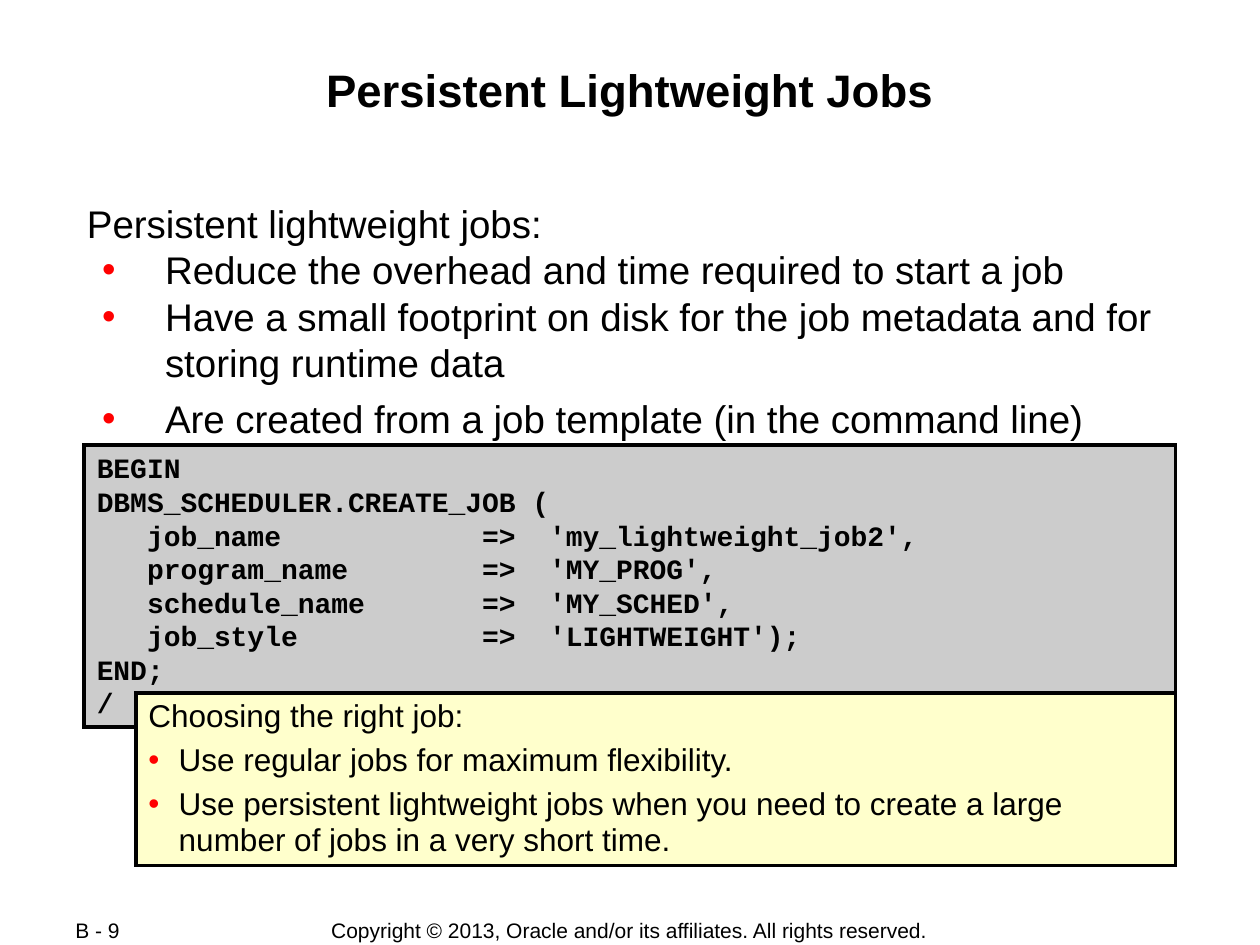
from lxml.etree import SubElement
from pptx import Presentation
from pptx.dml.color import RGBColor
from pptx.enum.shapes import MSO_SHAPE
from pptx.enum.text import MSO_ANCHOR, PP_ALIGN
from pptx.oxml.ns import qn
from pptx.util import Inches, Pt

COLORS = {"ink": "000000", "bullet": "FF0000", "code": "CCCCCC", "advice": "FFFFCC"}

TITLE = "Persistent Lightweight Jobs"
BENEFITS = [
    ("Persistent lightweight jobs:", False, 0),
    ("Reduce the overhead and time required to start a job", True, 0),
    ("Have a small footprint on disk for the job metadata and for storing runtime data", True, 0),
    ("Are created from a job template (in the command line)", True, 5.5),
]
CODE = [(line, False, 0) for line in (
    "BEGIN",
    "DBMS_SCHEDULER.CREATE_JOB (",
    "   job_name            =>  'my_lightweight_job2',",
    "   program_name        =>  'MY_PROG',",
    "   schedule_name       =>  'MY_SCHED',",
    "   job_style           =>  'LIGHTWEIGHT');",
    "END;",
    "/",
)]
ADVICE = [
    ("Choosing the right job:", False, 0),
    ("Use regular jobs for maximum flexibility.", True, 4.5),
    ("Use persistent lightweight jobs when you need to create a large number of jobs "
     "in a very short time.", True, 4.5),
]
FOOTERS = [
    ("B - 9", (0.5, 7.28, 1.06, 0.2), PP_ALIGN.LEFT),
    ("Copyright © 2013, Oracle and/or its affiliates. All rights reserved.",
     (2.5, 7.28, 4.99, 0.21), PP_ALIGN.CENTER),
]


def rgb(name):
    return RGBColor.from_string(COLORS[name])


def add_bullet(paragraph, margin, hang):
    properties = paragraph._p.get_or_add_pPr()
    properties.set("marL", str(Inches(margin)))
    properties.set("indent", str(-Inches(hang)))
    color = SubElement(properties, qn("a:buClr"))
    SubElement(color, qn("a:srgbClr")).set("val", COLORS["bullet"])
    SubElement(properties, qn("a:buFont")).set("typeface", "Arial")
    SubElement(properties, qn("a:buChar")).set("char", "•")


def write(frame, lines, size, font="Arial", bold=False, align=PP_ALIGN.LEFT,
          inset=(0.1, 0.05), anchor=MSO_ANCHOR.TOP, spacing=1.0, margin=0, hang=0):
    frame.word_wrap = True
    frame.vertical_anchor = anchor
    frame.margin_left = frame.margin_right = Inches(inset[0])
    frame.margin_top = frame.margin_bottom = Inches(inset[1])
    for index, (text, bulleted, before) in enumerate(lines):
        paragraph = frame.add_paragraph() if index else frame.paragraphs[0]
        paragraph.text = text
        paragraph.alignment = align
        paragraph.line_spacing = spacing
        paragraph.space_before = Pt(before)
        if bulleted:
            add_bullet(paragraph, margin, hang)
        paragraph.font.name = font
        paragraph.font.size = Pt(size)
        paragraph.font.bold = bold
        paragraph.font.color.rgb = rgb("ink")


def add_panel(slide, place, fill):
    panel = slide.shapes.add_shape(MSO_SHAPE.RECTANGLE, *map(Inches, place))
    panel.shadow.inherit = False
    panel.fill.solid()
    panel.fill.fore_color.rgb = rgb(fill)
    panel.line.color.rgb = rgb("ink")
    panel.line.width = Pt(2.25)
    SubElement(panel.line._get_or_add_ln(), qn("a:miter")).set("lim", "800000")
    return panel.text_frame


def main():
    deck = Presentation()
    deck.slide_width, deck.slide_height = Inches(10), Inches(7.5)
    slide = deck.slides.add_slide(deck.slide_layouts[5])

    for text, place, align in FOOTERS:
        footer = slide.shapes.add_textbox(*map(Inches, place))
        write(footer.text_frame, [(text, False, 0)], 12, align=align, anchor=MSO_ANCHOR.MIDDLE)

    title = slide.shapes.title
    title.left, title.top, title.width, title.height = map(Inches, (0.67, 0.48, 8.66, 0.96))
    write(title.text_frame, [(TITLE, False, 0)], 26, bold=True, align=PP_ALIGN.CENTER,
          inset=(0.01, 0.01))

    benefits = slide.shapes.add_textbox(*map(Inches, (0.67, 1.58, 8.66, 1.95)))
    write(benefits.text_frame, BENEFITS, 22, inset=(0.02, 0.01), margin=0.62, hang=0.5)

    write(add_panel(slide, (0.67, 3.53, 8.66, 2.24), "code"), CODE, 16,
          font="Courier New", bold=True)
    write(add_panel(slide, (1.08, 5.5, 8.25, 1.37), "advice"), ADVICE, 18,
          spacing=0.95, margin=0.24, hang=0.24)

    deck.save("out.pptx")


if __name__ == "__main__":
    main()
